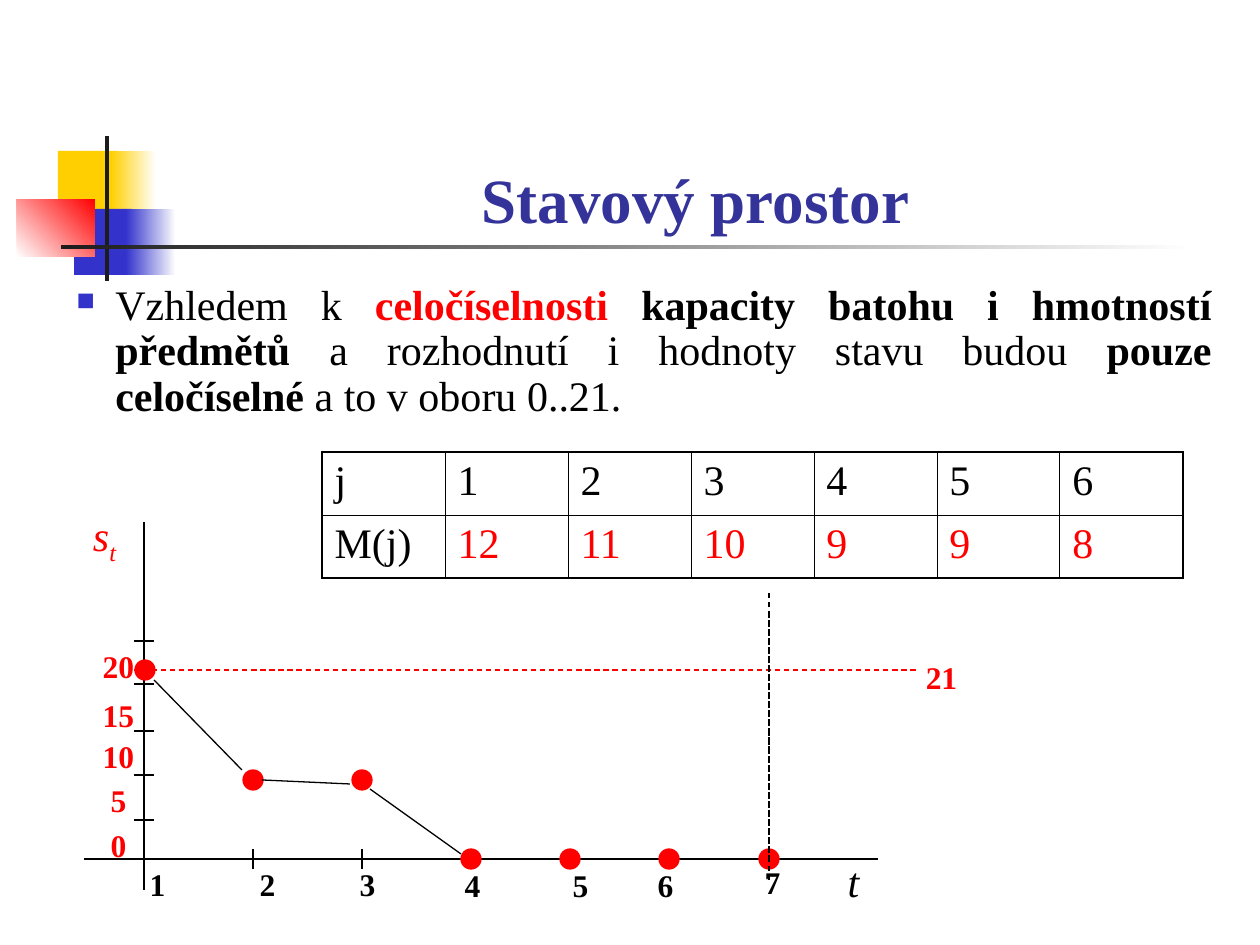
from dataclasses import dataclass

from lxml import etree
from pptx import Presentation
from pptx import util as u
from pptx.dml.color import RGBColor
from pptx.enum import dml, shapes, text
from pptx.oxml.ns import qn


@dataclass(frozen=True)
class Theme:
    font: str = "Times New Roman"
    black: str = "000000"
    red: str = "FF0000"
    white: str = "FFFFFF"
    yellow: str = "FFCF01"
    blue: str = "3333CC"
    title_blue: str = "333399"
    dark: str = "1C1C1C"
    title: int = 36
    body: int = 24
    label: int = 18
    line: float = 0.75
    inner_border: float = 0.45
    outer_border: float = 1.08


T = Theme()
AXIS_Y = 859
AXIS_X = 144
CAPACITY_Y = 670
DOT = 20
POINTS = [(145, CAPACITY_Y), (253, 780), (362, 780), (471, AXIS_Y),
          (570, AXIS_Y), (669, AXIS_Y), (769, AXIS_Y)]


def px(value):
    return u.Emu(round(value * 914400 / 126))


def rgb(value):
    return RGBColor.from_string(value)


def add_run(p, content, size, color, bold=False, italic=False, baseline=None):
    r = p.add_run()
    r.text = content
    r.font.name = T.font
    r.font.size = u.Pt(size)
    r.font.bold = bold
    r.font.italic = italic
    r.font.color.rgb = rgb(color)
    if baseline:
        r.font._element.set("baseline", str(baseline))


def add_textbox(slide, x, y, w, h, align=text.PP_ALIGN.CENTER,
                anchor=text.MSO_ANCHOR.TOP):
    tf = slide.shapes.add_textbox(px(x), px(y), px(w), px(h)).text_frame
    tf.word_wrap = True
    tf.vertical_anchor = anchor
    p = tf.paragraphs[0]
    p.alignment = align
    return p


def add_label(slide, x, y, content, color):
    add_run(add_textbox(slide, x, y, 69, 50), content, T.label, color, bold=True)


def add_shape(slide, kind, x, y, w, h, color):
    sp = slide.shapes.add_shape(kind, px(x), px(y), px(w), px(h))
    sp.shadow.inherit = False
    sp.fill.solid()
    sp.fill.fore_color.rgb = rgb(color)
    sp.line.fill.background()
    return sp


def add_gradient(slide, x, y, w, h, start, end, angle=0):
    sp = add_shape(slide, shapes.MSO_SHAPE.RECTANGLE, x, y, w, h, start)
    sp.fill.gradient()
    sp.fill.gradient_angle = angle
    for stop, color, position in zip(sp.fill.gradient_stops, (start, end), (0, 1)):
        stop.color.rgb = rgb(color)
        stop.position = position


def add_dot(slide, x, y):
    sp = add_shape(slide, shapes.MSO_SHAPE.OVAL, x - DOT / 2, y - DOT / 2,
                   DOT, DOT, T.red)
    sp.line.color.rgb = rgb(T.red)
    sp.line.width = u.Pt(T.line)


def add_line(slide, x1, y1, x2, y2, color=T.black, dashed=False):
    line = slide.shapes.add_connector(shapes.MSO_CONNECTOR.STRAIGHT,
                                      px(x1), px(y1), px(x2), px(y2))
    line.line.color.rgb = rgb(color)
    line.line.width = u.Pt(T.line)
    if dashed:
        line.line.dash_style = dml.MSO_LINE.DASH
    etree.SubElement(line._element.spPr, qn("a:effectLst"))


def add_bullet(p, char, color, percent):
    pPr = p._p.get_or_add_pPr()
    pPr.set("marL", str(px(39)))
    pPr.set("indent", str(-px(39)))
    clr = etree.SubElement(pPr, qn("a:buClr"))
    etree.SubElement(clr, qn("a:srgbClr"), val=color)
    etree.SubElement(pPr, qn("a:buSzPct"), val=str(percent * 1000))
    etree.SubElement(pPr, qn("a:buChar"), char=char)


def set_border(cell, side, width):
    ln = etree.SubElement(cell._tc.get_or_add_tcPr(), qn(f"a:ln{side}"),
                          w=str(int(u.Pt(width))))
    fill = etree.SubElement(ln, qn("a:solidFill"))
    etree.SubElement(fill, qn("a:srgbClr"), val=T.black)


def add_weight_table(slide, x, y, col_w, row_h, rows):
    n_rows, n_cols = len(rows), len(rows[0])
    table = slide.shapes.add_table(n_rows, n_cols, px(x), px(y),
                                   px(col_w * n_cols), px(row_h * n_rows)).table
    table.first_row = table.horz_banding = False
    for col in table.columns:
        col.width = px(col_w)
    for i, row in enumerate(rows):
        table.rows[i].height = px(row_h)
        for j, content in enumerate(row):
            cell = table.cell(i, j)
            outer = {"L": j == 0, "R": j == n_cols - 1,
                     "T": i == 0, "B": i == n_rows - 1}
            for side, is_outer in outer.items():
                set_border(cell, side, T.outer_border if is_outer else T.inner_border)
            cell.fill.background()
            color = T.red if i and j else T.black
            add_run(cell.text_frame.paragraphs[0], content, T.body, color)


def add_decoration(slide):
    rect = shapes.MSO_SHAPE.RECTANGLE
    add_shape(slide, rect, 58, 151, 60, 66, T.yellow)
    add_gradient(slide, 111, 151, 45, 66, T.yellow, T.white)
    add_shape(slide, rect, 74, 209, 58, 66, T.blue)
    add_gradient(slide, 126, 209, 50, 66, T.blue, T.white)
    add_gradient(slide, 17, 199, 78, 58, T.white, T.red, 45)
    add_shape(slide, rect, 105, 136, 4, 145, T.dark)
    add_gradient(slide, 61, 245, 1134, 4, T.dark, T.white)


def add_heading(slide):
    p = add_textbox(slide, 159, 84, 1073, 158, anchor=text.MSO_ANCHOR.BOTTOM)
    add_run(p, "Stavový prostor", T.title, T.title_blue, bold=True)


def add_body(slide):
    p = add_textbox(slide, 64, 278, 1160, 175, text.PP_ALIGN.JUSTIFY)
    add_bullet(p, "■", T.blue, 60)
    p.line_spacing = 0.9
    for content, color, bold in [
        ("Vzhledem k ", T.black, False),
        ("celočíselnosti ", T.red, True),
        ("kapacity batohu i hmotností předmětů ", T.black, True),
        ("a rozhodnutí i hodnoty stavu budou ", T.black, False),
        ("pouze celočíselné", T.black, True),
        (" a to v oboru 0..21.", T.black, False),
    ]:
        add_run(p, content, T.body, color, bold)


def add_axes(slide):
    add_line(slide, 84, AXIS_Y, 878, AXIS_Y)
    add_line(slide, AXIS_X, 890, AXIS_X, 522)
    add_run(add_textbox(slide, 809, 849, 89, 63), "t", T.body, T.black, italic=True)
    p = add_textbox(slide, 25, 503, 159, 71)
    add_run(p, "s", T.body, T.red, italic=True)
    add_run(p, "t", T.body, T.red, italic=True, baseline=-25000)
    for y in (820, 775, 731, 684, 641):
        add_line(slide, AXIS_X - 10, y, AXIS_X + 10, y)
    for x, _ in POINTS[1:]:
        add_line(slide, x, AXIS_Y - 10, x, AXIS_Y + 10)
    for i, y in enumerate((820, 775, 731, 690, 641)):
        add_label(slide, 84, y, str(5 * i), T.red)
    label_places = [(123, 859), (233, 859), (333, 859), (438, 860),
                    (546, 860), (631, 860), (738, 857)]
    for i, (x, y) in enumerate(label_places, 1):
        add_label(slide, x, y, str(i), T.black)


def add_trajectory(slide):
    add_line(slide, 134, CAPACITY_Y, 917, CAPACITY_Y, T.red, dashed=True)
    add_label(slide, 907, 652, "21", T.red)
    for x, y in POINTS:
        add_dot(slide, x, y)
    for bottom, top in ((880, 611), (860, 591)):
        add_line(slide, 769, bottom, 769, top, dashed=True)
    for ends in ((154, 680, 242, 770), (262, 780, 350, 784), (370, 789, 461, 854)):
        add_line(slide, *ends)


def main():
    prs = Presentation()
    prs.slide_width, prs.slide_height = px(1260), px(945)
    slide = prs.slides.add_slide(prs.slide_layouts[6])
    add_decoration(slide)
    add_heading(slide)
    add_body(slide)
    add_axes(slide)
    add_trajectory(slide)
    add_weight_table(slide, 322, 452, 123, 63,
                     [["j", "1", "2", "3", "4", "5", "6"],
                      ["M(j)", "12", "11", "10", "9", "9", "8"]])
    prs.save("out.pptx")


if __name__ == "__main__":
    main()
